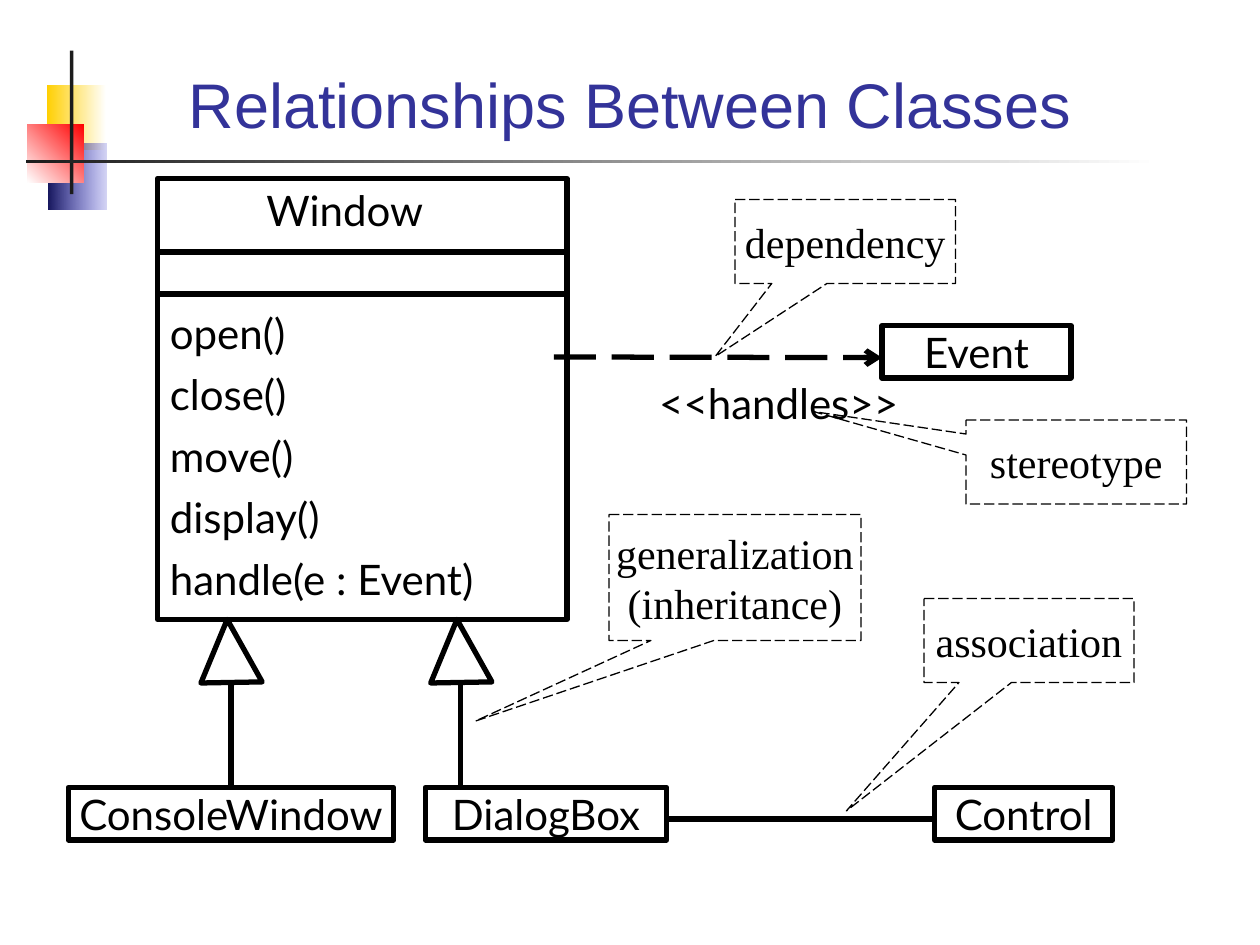
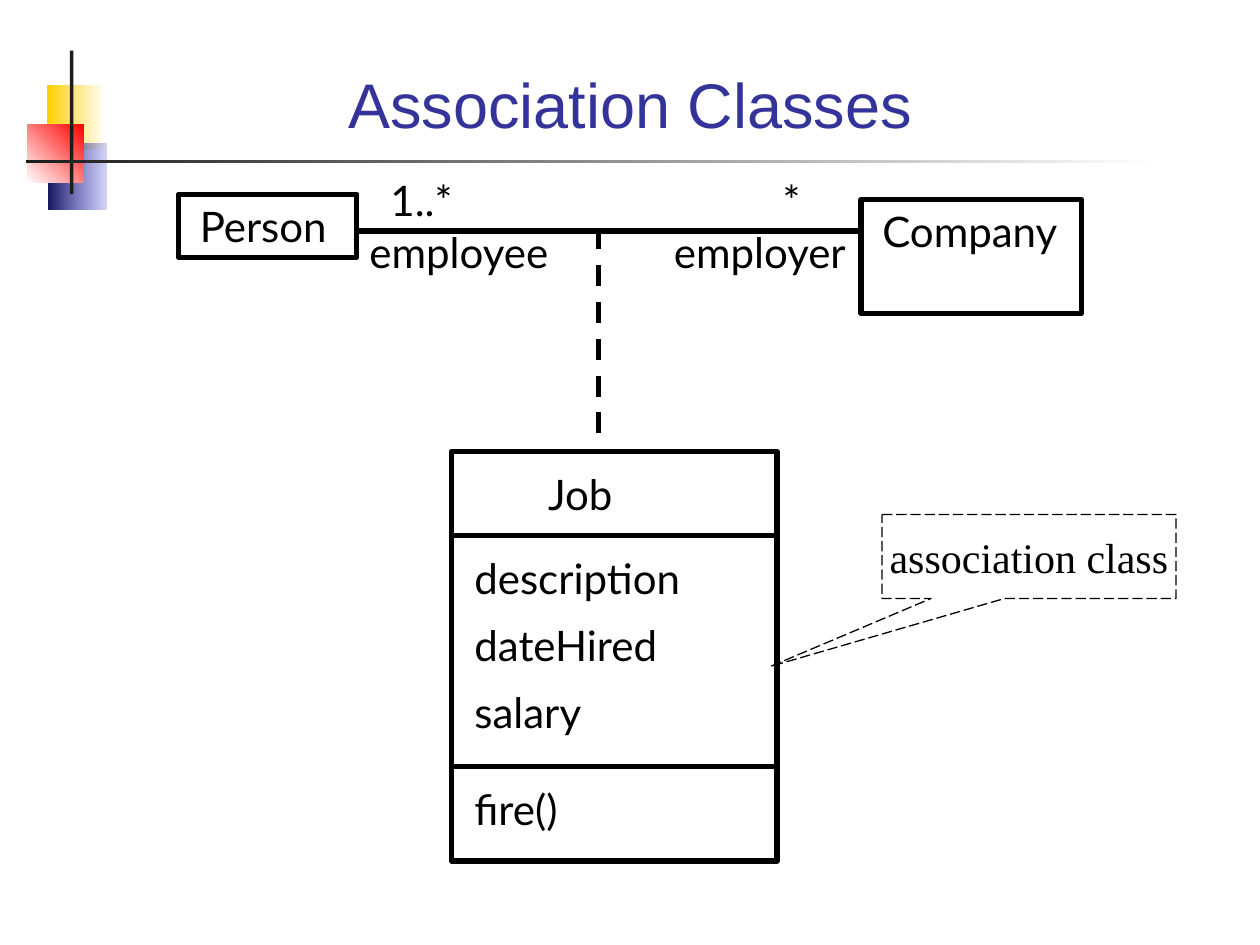
from lxml import etree
from pptx import Presentation
from pptx.dml.color import RGBColor
from pptx.enum import dml, shapes, text
from pptx.oxml import ns
from pptx.util import Pt

HEX = {
    "ink": "000000", "title": "333399", "bar": "1C1C1C", "white": "FFFFFF",
    "gold": "FFCF01", "navy": "17175E", "blue": "3333CC", "red": "FF0000",
}
SANS, SERIF, HEAD = "Lato", "Times New Roman", "Arial"
KIND = shapes.MSO_SHAPE
DASH = dml.MSO_LINE
ALIGN = text.PP_ALIGN
ANCHOR = text.MSO_ANCHOR


def rgb(name):
    return RGBColor.from_string(HEX[name])


def pts(*values):
    return [Pt(v) for v in values]


# Basic parts
def write(frame, words, font=SANS, size=24, color="ink", align=ALIGN.LEFT,
          anchor=ANCHOR.TOP, wrap=True, indent=0, spacing=None, before=0):
    frame.text = words
    frame.word_wrap = wrap
    frame.vertical_anchor = anchor
    frame.margin_left, frame.margin_right = pts(7.2 + indent, 7.2)
    frame.margin_top = frame.margin_bottom = Pt(3.6)
    for i, para in enumerate(frame.paragraphs):
        para.alignment = align
        para.line_spacing = spacing
        para.space_before = Pt(before if i else 0)
        for run in para.runs:
            run.font.name, run.font.size = font, Pt(size)
            run.font.color.rgb = rgb(color)


def label(slide, box, words, **style):
    write(slide.shapes.add_textbox(*pts(*box)).text_frame, words, **style)


def stroke(line, width=3, dash=None):
    line.color.rgb = rgb("ink")
    line.width = Pt(width)
    if dash:
        line.dash_style = dash


def frame(slide, box, kind=KIND.RECTANGLE, width=3, dash=None):
    shape = slide.shapes.add_shape(kind, *pts(*box))
    shape.shadow.inherit = False
    shape.fill.background()
    stroke(shape.line, width, dash)
    return shape


def link(slide, start, end, dash=None, arrow=False):
    line = slide.shapes.add_connector(
        shapes.MSO_CONNECTOR.STRAIGHT, *pts(*start, *end))
    stroke(line.line, dash=dash)
    props = line._element.spPr
    etree.SubElement(props, ns.qn("a:effectLst"))
    ln = props.find(ns.qn("a:ln"))
    ln.set("cap", "sq")
    if arrow:
        etree.SubElement(ln, ns.qn("a:tailEnd"), type="arrow")


def block(slide, box, first, last=None, angle=180, alpha=None):
    """Borderless rectangle, plain or with a two-colour gradient."""
    shape = slide.shapes.add_shape(KIND.RECTANGLE, *pts(*box))
    shape.shadow.inherit = False
    shape.line.fill.background()
    if not last:
        shape.fill.solid()
        shape.fill.fore_color.rgb = rgb(first)
        return
    shape.fill.gradient()
    shape.fill.gradient_angle = 360 - angle
    for stop, name in zip(shape.fill.gradient_stops, (first, last)):
        stop.color.rgb = rgb(name)
    if alpha:
        tint = next(shape._element.spPr.iter(ns.qn("a:srgbClr")))
        etree.SubElement(tint, ns.qn("a:alpha"), val=str(alpha * 1000))


# Shared ornament and title
def base(deck, title):
    slide = deck.slides.add_slide(deck.slide_layouts[6])
    block(slide, (26.7, 48.3, 34, 37.5), "white", "gold")
    block(slide, (28, 82, 32.7, 37.5), "blue", "navy", alpha=20)
    block(slide, (15.6, 71, 32.4, 33.3), "red", "white", angle=135)
    block(slide, (40, 29, 2, 82), "bar")
    block(slide, (15, 91.2, 647, 2), "white", "bar")
    label(slide, (48, 30, 624, 54), title, font=HEAD, size=36, color="title",
          align=ALIGN.CENTER, anchor=ANCHOR.BOTTOM)
    return slide


# Diagram parts
def entity(slide, box, rules, parts):
    """Class box with divider lines and text compartments."""
    x, y, w, h = box
    frame(slide, box)
    for dx, dy, pw, ph, words, style in parts:
        label(slide, (x + dx, y + dy, pw, ph), words, before=15, **style)
    for dy in rules:
        link(slide, (x, y + dy), (x + w, y + dy))


def node(slide, box, words, **style):
    write(frame(slide, box).text_frame, words, **style)


def note(slide, box, words, tip):
    shape = frame(slide, box, KIND.RECTANGULAR_CALLOUT, 0.75, DASH.LONG_DASH)
    shape.adjustments[0], shape.adjustments[1] = tip
    write(shape.text_frame, words, font=SERIF, align=ALIGN.CENTER,
          anchor=ANCHOR.MIDDLE, wrap=False)


def parent(slide, box):
    """Inheritance arrow: hollow head with a stem down to the child."""
    x, y, w, h = box
    head = frame(slide, (x, y, w, 36), KIND.ISOSCELES_TRIANGLE)
    head.adjustments[0] = 0.447
    head.rotation = 359
    link(slide, (x + w / 2, y + 36), (x + w / 2, y + h))


# Slide 1
def kinds(deck):
    slide = base(deck, "Relationships Between Classes")
    calls = "open()\nclose()\nmove()\ndisplay()\nhandle(e : Event)"
    entity(slide, (90, 102, 234, 252), (42, 66), [
        (12, 0, 198, 36, "Window", {"indent": 43}),
        (0, 78, 222, 168, calls, {"spacing": 0.7}),
    ])
    mid = {"align": ALIGN.CENTER, "anchor": ANCHOR.MIDDLE, "wrap": False}
    for x, y, w, words in (
            (39, 450, 186, "ConsoleWindow"), (243, 450, 138, "DialogBox"),
            (534, 450, 102, "Control"), (504, 186, 108, "Event")):
        node(slide, (x, y, w, 30), words, **mid)
    link(slide, (318, 204), (504, 204.4), DASH.LONG_DASH, arrow=True)
    link(slide, (381, 468), (534, 468))
    for x in (114.5, 245.8):
        parent(slide, (x, 354, 35, 96))
    label(slide, (369.6, 212.4, 158, 36), "<<handles>>", wrap=False)
    note(slide, (528, 342, 120, 48), "association", (-0.87, 2.03))
    note(slide, (420, 114, 126, 48), "dependency", (-0.59, 1.37))
    note(slide, (348, 294, 144, 72), "generalization\n(inheritance)",
         (-1.03, 1.14))
    note(slide, (552, 240, 126, 48), "stereotype", (-1.19, -0.6))


# Slide 2
def joined(deck):
    slide = base(deck, "Association Classes")
    node(slide, (102, 111, 102, 36), "Person", indent=5)
    node(slide, (492, 114, 126, 65), "Company", indent=5)
    link(slide, (204, 132), (492, 132))
    for x, y, words, indent in (
            (204, 126, "employee", 0), (378, 126, "employer", 0),
            (216, 96, "1..*", 0), (378, 96, "*", 62)):
        label(slide, (x, y, 132, 36), words, indent=indent)
    entity(slide, (258, 258, 186, 234), (48, 180), [
        (18, 6, 198, 36, "Job", {"indent": 30}),
        (6, 60, 198, 106, "description\ndateHired\nsalary",
         {"spacing": 0.8}),
        (6, 186, 198, 36, "fire()", {}),
    ])
    link(slide, (342, 132), (342, 258), DASH.DASH)
    note(slide, (504, 294, 168, 48), "association class", (-0.88, 1.31))


def main():
    deck = Presentation()
    deck.slide_width, deck.slide_height = pts(720, 540)
    kinds(deck)
    joined(deck)
    deck.save("out.pptx")


if __name__ == "__main__":
    main()
